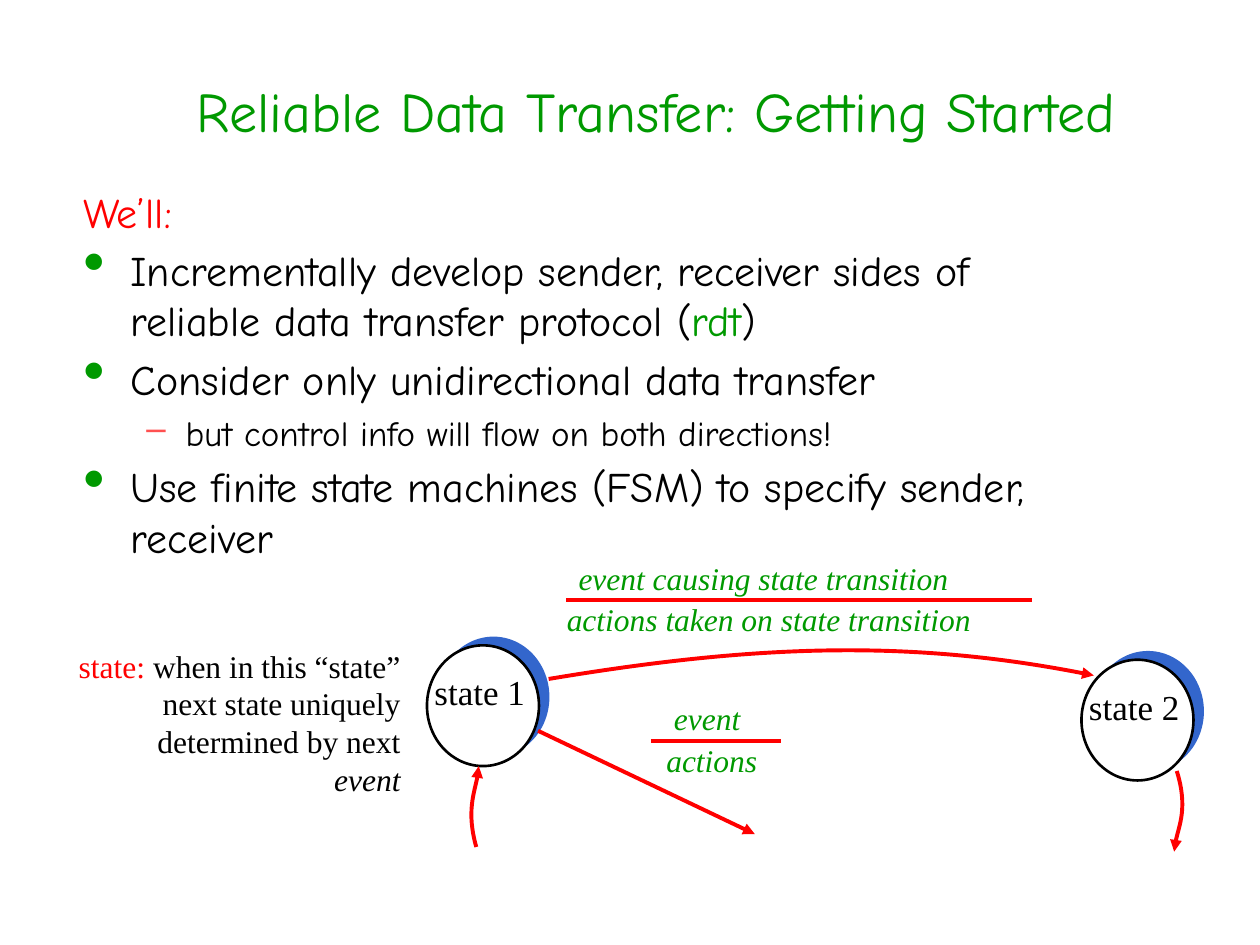
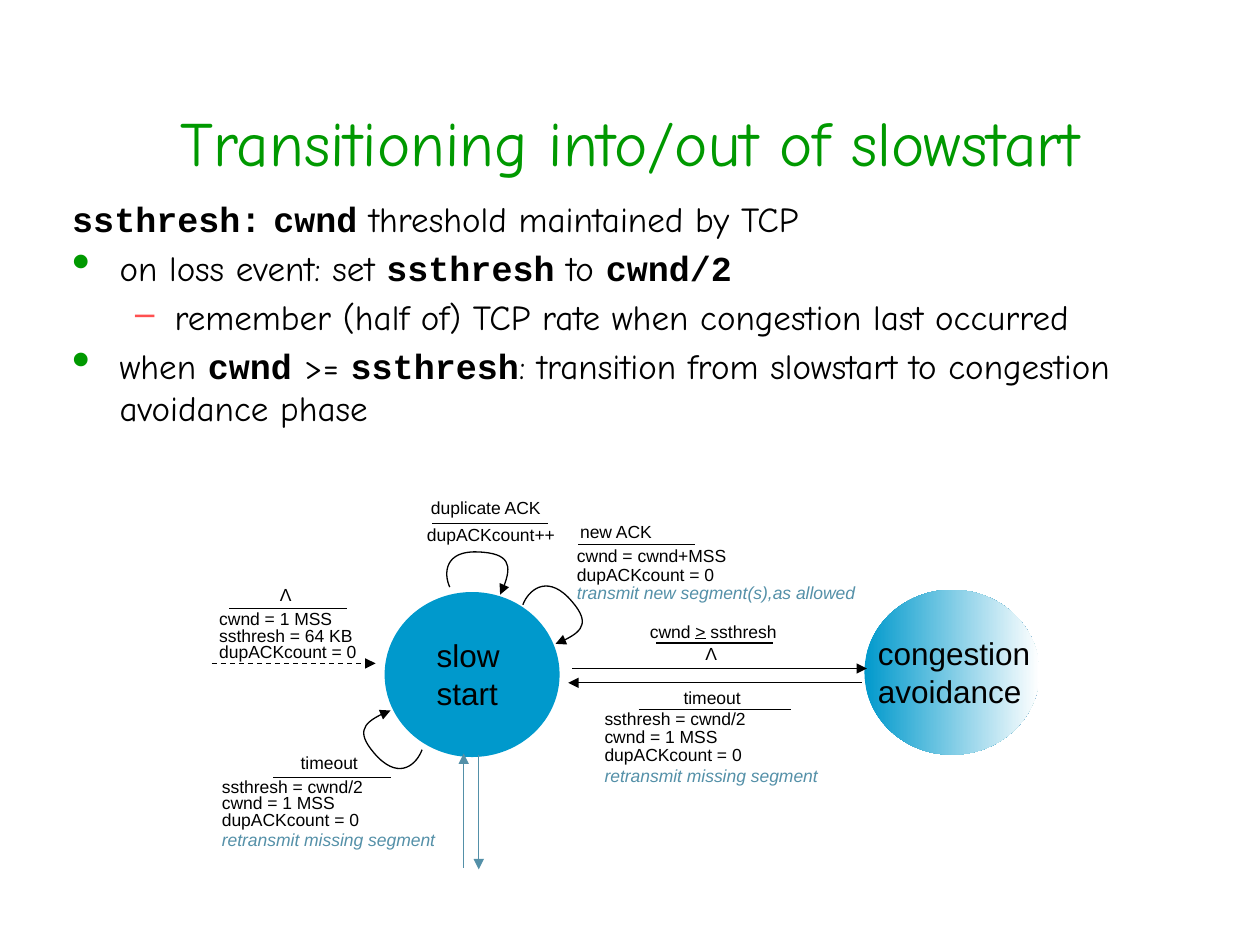
from lxml import etree
from pptx import Presentation
from pptx.dml.color import RGBColor
from pptx.enum.dml import MSO_LINE
from pptx.enum.shapes import MSO_CONNECTOR, MSO_SHAPE
from pptx.enum.text import MSO_ANCHOR, MSO_AUTO_SIZE, PP_ALIGN
from pptx.oxml.ns import qn
from pptx.util import Pt

STRAIGHT = MSO_CONNECTOR.STRAIGHT
OVAL = MSO_SHAPE.OVAL
DASH = MSO_LINE.DASH
TOP, MIDDLE = MSO_ANCHOR.TOP, MSO_ANCHOR.MIDDLE
GROW = MSO_AUTO_SIZE.SHAPE_TO_FIT_TEXT
FIXED = MSO_AUTO_SIZE.NONE
LEFT, CENTER, RIGHT = PP_ALIGN.LEFT, PP_ALIGN.CENTER, PP_ALIGN.RIGHT

BLACK, WHITE, GREEN, RED = "000000", "FFFFFF", "009900", "FF0000"
SHADOW_BLUE, SKY, STEEL, CORAL = "3366CC", "0099CC", "5490A8", "FF5050"

BODY = {"name": "Comic Neue", "size": 24, "color": BLACK}
CODE = {"name": "Courier New", "bold": True}
SERIF = {"name": "Times New Roman", "size": 18, "color": BLACK}
FRACTION = {**SERIF, "color": GREEN, "italic": True}
SMALL = {"name": "Arial", "size": 10, "color": BLACK}
NODE = {**SMALL, "size": 18}
EFFECT = {"color": STEEL, "italic": True}

LEVELS = {
    "plain": {},
    "lead": {"margin": 27, "indent": -27},
    "bullet": {"margin": 27, "indent": -27, "mark": "•", "mark_color": GREEN, "mark_size": 150},
    "dash": {"margin": 58.5, "indent": -22.5, "mark": "–", "mark_color": CORAL, "mark_size": 100},
}


def rgb(value):
    """Return the colour for a hex string."""
    return RGBColor.from_string(value)


class Deck:
    """Hold the presentation, its style and the current slide."""

    def __init__(self):
        """Start an empty 10 by 7.5 inch presentation."""
        self.presentation = Presentation()
        self.presentation.slide_width = Pt(720)
        self.presentation.slide_height = Pt(540)
        self.slide = None

    def add_slide(self, title, box, size):
        """Start a slide with its green title."""
        self.slide = self.presentation.slides.add_slide(self.presentation.slide_layouts[6])
        style = {**BODY, "size": size, "color": GREEN}
        self.text(box, [("plain", [(title, {})])], style, wrap=True, align=CENTER, anchor=MIDDLE)

    def format_level(self, paragraph, level):
        """Set the indents and the bullet of a paragraph."""
        properties = paragraph._p.get_or_add_pPr()
        for attribute, key in (("marL", "margin"), ("indent", "indent")):
            if key in level:
                properties.set(attribute, str(int(Pt(level[key]))))
        if "mark" in level:
            color = etree.SubElement(properties, qn("a:buClr"))
            etree.SubElement(color, qn("a:srgbClr"), val=level["mark_color"])
            etree.SubElement(properties, qn("a:buSzPct"), val=str(level["mark_size"] * 1000))
            etree.SubElement(properties, qn("a:buChar"), char=level["mark"])

    def add_run(self, paragraph, words, style):
        """Add a run with the given font values."""
        run = paragraph.add_run()
        run.text = words
        for name, value in style.items():
            if name == "color":
                run.font.color.rgb = rgb(value)
            else:
                setattr(run.font, name, Pt(value) if name == "size" else value)

    def text(self, box, paragraphs, style, wrap=False, align=LEFT, anchor=TOP, spacing=None, before=0):
        """Add a text box of (level, runs) paragraphs."""
        shape = self.slide.shapes.add_textbox(*map(Pt, box))
        frame = shape.text_frame
        frame_format = {"word_wrap": wrap, "vertical_anchor": anchor, "auto_size": FIXED if wrap else GROW}
        for name, value in frame_format.items():
            setattr(frame, name, value)
        for index, (level, runs) in enumerate(paragraphs):
            paragraph = frame.add_paragraph() if index else frame.paragraphs[0]
            gap = Pt(before) if index and before else None
            paragraph_format = {"alignment": align, "line_spacing": spacing, "space_before": gap}
            for name, value in paragraph_format.items():
                setattr(paragraph, name, value)
            self.format_level(paragraph, LEVELS[level])
            for words, changes in runs:
                self.add_run(paragraph, words, {**style, **changes})
        return frame

    def lines(self, box, rows, style, **options):
        """Add a text box with one plain paragraph per row."""
        return self.text(box, [("plain", [(row, {})]) for row in rows], style, **options)

    def ellipse(self, box, color, outline=None):
        """Add an ellipse with a plain fill, or a gradient for two colours."""
        shape = self.slide.shapes.add_shape(OVAL, *map(Pt, box))
        shape.shadow.inherit = False
        if isinstance(color, tuple):
            shape.fill.gradient()
            shape.fill.gradient_angle = 0
            for stop, position, value in zip(shape.fill.gradient_stops, (0, 1), color):
                stop.position = position
                stop.color.rgb = rgb(value)
        else:
            shape.fill.solid()
            shape.fill.fore_color.rgb = rgb(color)
        if outline:
            shape.line.color.rgb = rgb(outline)
            shape.line.width = Pt(1.5)
        else:
            shape.line.fill.background()

    def stroke(self, shape, color, width, arrow, dash=None):
        """Set the line of a connector or curve."""
        shape.line.color.rgb = rgb(color)
        shape.line.width = Pt(width)
        if dash:
            shape.line.dash_style = dash
        if arrow:
            etree.SubElement(shape.line._get_or_add_ln(), qn("a:tailEnd"), type="triangle")

    def line(self, start, end, color=BLACK, width=0.75, arrow=False, dash=None):
        """Add a straight line, with an arrowhead at its end on request."""
        connector = self.slide.shapes.add_connector(STRAIGHT, *map(Pt, (*start, *end)))
        self.stroke(connector, color, width, arrow, dash)
        etree.SubElement(connector._element.spPr, qn("a:effectLst"))

    def curve(self, points, color=BLACK, width=0.75):
        """Add an arrow along cubic curves given by start and control points."""
        start, *controls = [(Pt(x), Pt(y)) for x, y in points]
        builder = self.slide.shapes.build_freeform(*start)
        builder.add_line_segments(controls, close=False)
        shape = builder.convert_to_shape()
        shape.shadow.inherit = False
        shape.fill.background()
        self.stroke(shape, color, width, True)
        segments = list(shape._element.iter(qn("a:lnTo")))
        for first in range(0, len(segments), 3):
            bezier = etree.Element(qn("a:cubicBezTo"))
            segments[first].addprevious(bezier)
            for segment in segments[first:first + 3]:
                bezier.append(segment[0])
                segment.getparent().remove(segment)

    def transition(self, event, event_box, bar, actions, actions_box, style=SMALL, spacing=None,
                   effect=None, gap=0, color=BLACK, width=0.75):
        """Add an event over a bar over its actions."""
        left, right, y = bar
        self.lines(event_box, [event], style)
        frame = self.lines(actions_box, actions, style, spacing=spacing)
        if effect:
            paragraph = frame.add_paragraph()
            paragraph.line_spacing = spacing
            paragraph.space_before = Pt(gap)
            self.add_run(paragraph, effect, {**style, **EFFECT})
        self.line((left, y), (right, y), color, width)

    def state(self, x, y, name):
        """Add a white state circle with its blue shadow and name."""
        self.ellipse((x + 6, y - 5, 64, 69), SHADOW_BLUE)
        self.ellipse((x, y, 64, 69), WHITE, BLACK)
        self.lines((x - 2.8, y + 11, 66, 32), [name], {**SERIF, "size": 20})


def build_getting_started(deck):
    """Build the slide on reliable data transfer."""
    deck.add_slide("Reliable Data Transfer: Getting Started", (54, 18, 642, 90), 32)
    deck.text((40.5, 103, 571.5, 264), [
        ("lead", [("We’ll:", {"color": RED})]),
        ("bullet", [("Incrementally develop sender, receiver sides of reliable data transfer protocol (", {}),
                    ("rdt", {"color": GREEN}), (")", {})]),
        ("bullet", [("Consider only unidirectional data transfer", {})]),
        ("dash", [("but control info will flow on both directions!", {"size": 20})]),
        ("bullet", [("Use finite state machines (FSM) to specify sender, receiver", {})]),
    ], BODY, wrap=True, before=4.4)
    deck.state(244, 368.8, "state 1")
    deck.state(618, 377, "state 2")
    deck.text((18, 366, 218, 97), [
        ("lead", [("state:", {"color": RED}),
                  (" when in this “state” next state uniquely determined by next ", {}),
                  ("event", {"italic": True})]),
    ], SERIF, wrap=True, align=RIGHT)
    red_bar = {"style": FRACTION, "color": RED, "width": 2.25}
    deck.transition("event causing state transition", (323.5, 316, 228, 29), (323.5, 589.5, 342.7),
                    ["actions taken on state transition"], (316.8, 339.3, 247.7, 29), **red_bar)
    deck.transition("event", (378, 396, 54, 29), (372, 446.5, 423.4),
                    ["actions"], (373.7, 420, 67, 29), **red_bar)
    for points in (
        [(313.5, 388), (430, 368.5), (522.5, 365), (625, 386)],
        [(272.2, 484), (266.4, 463.7), (273.6, 445), (273.6, 437.8)],
        [(672.5, 440.6), (679, 461.5), (671, 479.5), (671, 486.7)],
    ):
        deck.curve(points, RED, 2.25)
    deck.line((307.5, 417.6), (431.3, 476.6), RED, 2.25, arrow=True)


def build_slowstart(deck):
    """Build the slide on entering and leaving slowstart."""
    deck.add_slide("Transitioning into/out of slowstart", (54, 36, 612, 90), 36)
    deck.text((34.2, 109.5, 685.8, 366), [
        ("lead", [("ssthresh:", CODE), (" ", {}), ("cwnd", CODE), (" threshold maintained by TCP", {})]),
        ("bullet", [("on loss event: set ", {}), ("ssthresh", CODE), (" to ", {}), ("cwnd/2", CODE)]),
        ("dash", [("remember (half of) TCP rate when congestion last occurred", {})]),
        ("bullet", [("when ", {}), ("cwnd", CODE), (" >= ", {}), ("ssthresh", CODE),
                    (": transition from slowstart to congestion avoidance phase", {})]),
    ], {**BODY, "size": 20}, wrap=True, before=4)

    deck.ellipse((219.8, 338.3, 100, 94.3), SKY)
    deck.lines((242.5, 360, 58, 50.4), ["slow", "start"], NODE)
    deck.ellipse((494, 337, 100, 94.3), (SKY, WHITE))
    deck.lines((494.6, 358.6, 104, 50.4), ["congestion", "avoidance"], NODE)

    start_window, no_duplicates = "cwnd = 1 MSS", "dupACKcount = 0"
    timeout_actions = ["ssthresh = cwnd/2", start_window, no_duplicates]
    resend = "retransmit missing segment"
    deck.transition("timeout", (383.5, 388.8, 54, 19.4), (365, 452.2, 405.4), timeout_actions,
                    (338.4, 403, 144, 50.4), spacing=0.85, effect=resend, gap=1.8)
    deck.transition("timeout", (164.7, 426.3, 54, 19.4), (156.2, 223.2, 444.2), timeout_actions,
                    (119.7, 442, 144, 47.5), spacing=0.8, effect=resend, gap=1.8)
    deck.transition("cwnd > ssthresh", (364.3, 351.5, 90, 19.4), (375, 442, 367.4), ["Λ"],
                    (396, 366.5, 24, 16.6), spacing=0.8)
    deck.line((397.4, 365), (403.2, 365))
    deck.transition("new ACK", (324.4, 294.3, 60, 19.4), (330.5, 397.4, 311),
                    ["cwnd = cwnd+MSS", no_duplicates], (322.6, 309, 178, 51), spacing=0.9,
                    effect="transmit new segment(s),as allowed")
    deck.transition("duplicate ACK", (239.2, 280.6, 82, 19.4), (247, 313.2, 299.2),
                    ["dupACKcount++"], (236.9, 298, 92, 28), spacing=0.8)
    deck.transition("Λ", (152.8, 330.3, 24, 19.4), (131, 198, 347.8),
                    [start_window, "ssthresh = 64 KB", no_duplicates], (118.2, 346.1, 97, 36), spacing=0.8)

    for points in (
        [(257, 335.5), (253.4, 327.6), (254.2, 314.6), (272.9, 315.4),
         (291.6, 316), (293, 325.4), (285.8, 339.8)],
        [(298.8, 345.6), (301.7, 337.7), (311.8, 328.3), (324.7, 341.3),
         (337.7, 355), (332.6, 362.2), (317.5, 367.9)],
        [(241.2, 428.4), (238.3, 436.3), (229, 445.7), (216, 432.7),
         (203, 419), (208, 411.8), (223.2, 406)],
    ):
        deck.curve(points)
    deck.line((121, 379.1), (214.6, 379.1), arrow=True, dash=DASH)
    deck.line((492.5, 390.2), (324.7, 390.2), arrow=True)
    deck.line((327, 382), (495.4, 382), arrow=True)
    deck.line((273.6, 431.3), (273.6, 496.8), STEEL, arrow=True)
    deck.line((265, 496), (265, 430.6), STEEL, arrow=True)


def main():
    """Build both slides and save them."""
    deck = Deck()
    build_getting_started(deck)
    build_slowstart(deck)
    deck.presentation.save("out.pptx")


if __name__ == "__main__":
    main()
